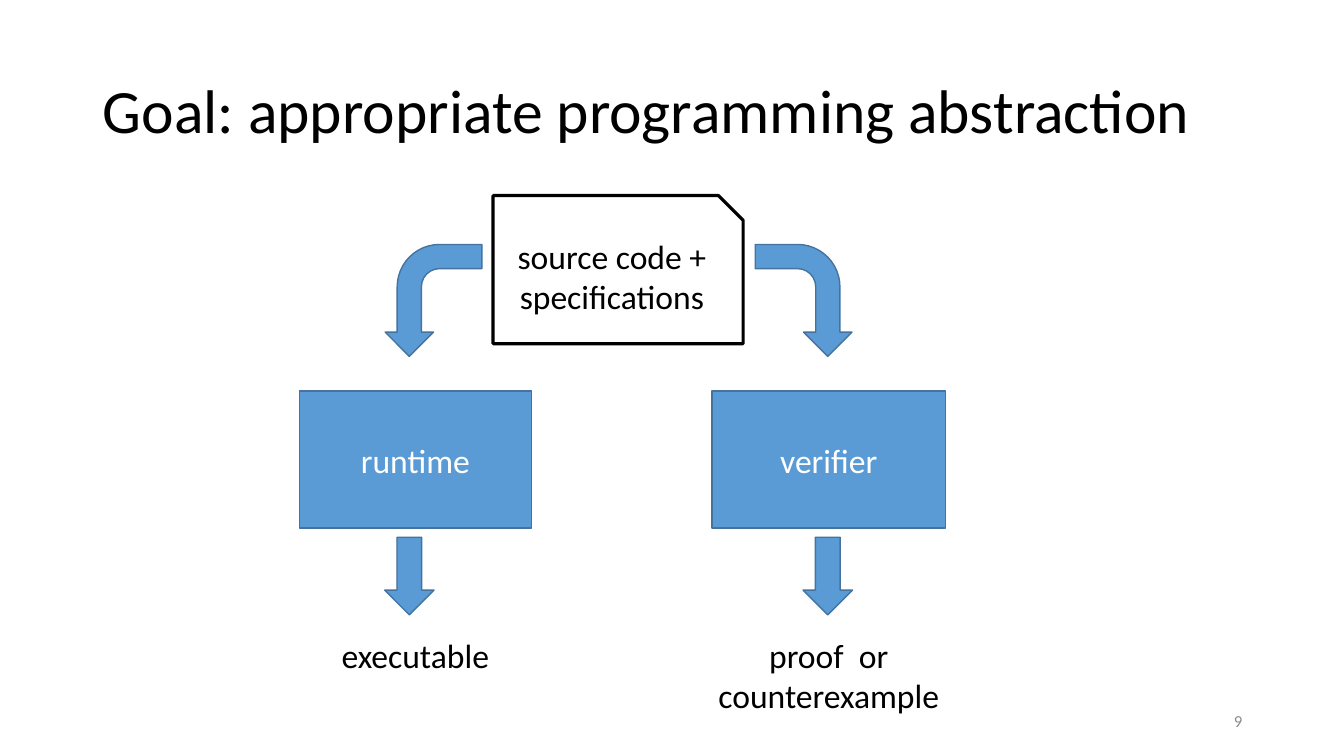
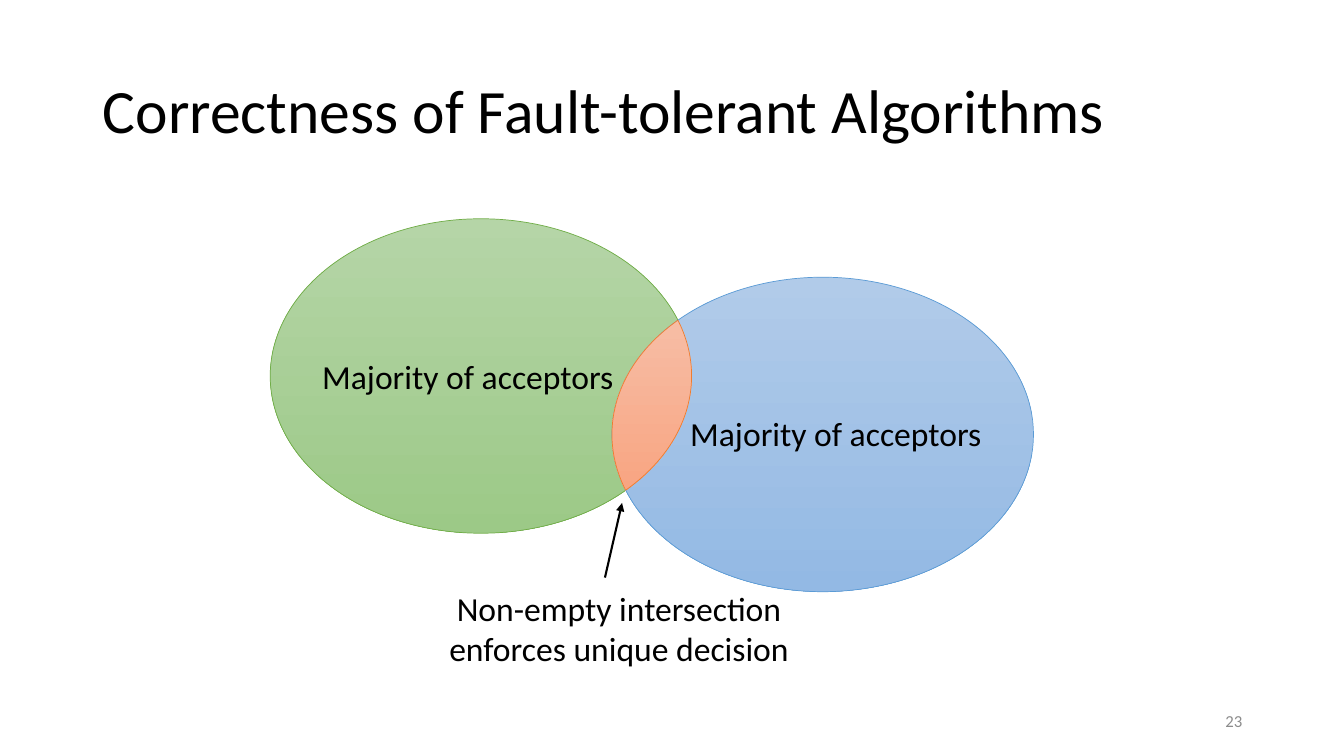
from math import acos, atan2, cos, hypot, pi, sin

from lxml.etree import SubElement
from pptx import Presentation
from pptx.dml.color import RGBColor
from pptx.enum.shapes import MSO_CONNECTOR, MSO_SHAPE
from pptx.enum.text import MSO_ANCHOR, MSO_AUTO_SIZE, PP_ALIGN
from pptx.oxml.ns import qn
from pptx.util import Inches, Pt

WIDTH, HEIGHT = 13.33, 7.5
FONT = "Calibri"
BODY_SIZE = 24
COLORS = {
    "text": "000000", "paper": "FFFFFF", "number": "8C8C8C",
    "box": "5B9BD5", "box_edge": "43739E",
    "green": "70AD47", "green_top": "B5D5A7", "green_bottom": "9CC987",
    "blue": "5B9BD5", "blue_top": "B1CBE9", "blue_bottom": "93B9E4",
    "orange": "ED7D31", "orange_top": "F7BDA5", "orange_bottom": "F8A582",
}

ABSTRACTION = {
    "title": "Goal: appropriate programming abstraction",
    "number": 9,
    "source": "source code + specifications",
    # tool, result, centre of the column, centre of its arrows, width, side of the source
    "branches": [
        ("runtime", "executable", 4.12, 4.06, 2.3, -1),
        ("verifier", "proof  or\ncounterexample", 8.22, 8.21, 2.32, 1),
    ],
}
CORRECTNESS = {
    "title": "Correctness of Fault-tolerant Algorithms",
    "number": 23,
    # label, colour, centre of the ellipse, left and top of the label
    "majorities": [
        ("Majority of acceptors", "green", (4.77, 3.73), (3.08, 3.48)),
        ("Majority of acceptors", "blue", (8.16, 4.31), (6.73, 4.05)),
    ],
    "note": "Non-empty intersection\nenforces unique decision",
}
RADII = (2.09, 1.56)


def color(name):
    return RGBColor.from_string(COLORS[name])


def inches(*lengths):
    return [Inches(length) for length in lengths]


def write(frame, text, size=BODY_SIZE, ink="text", align=PP_ALIGN.CENTER):
    frame.text = text
    for paragraph in frame.paragraphs:
        paragraph.alignment = align
        for run in paragraph.runs:
            run.font.name = FONT
            run.font.size = Pt(size)
            run.font.color.rgb = color(ink)


def outline(shape, edge, width):
    shape.shadow.inherit = False
    shape.line.color.rgb = color(edge)
    shape.line.width = Pt(width)


def add_block(slide, preset, box, fill="box", edge="box_edge", width=1):
    block = slide.shapes.add_shape(preset, *inches(*box))
    block.fill.solid()
    block.fill.fore_color.rgb = color(fill)
    outline(block, edge, width)
    return block


def add_label(slide, text, box):
    frame = slide.shapes.add_textbox(*inches(*box)).text_frame
    frame.word_wrap = False
    frame.auto_size = MSO_AUTO_SIZE.SHAPE_TO_FIT_TEXT
    write(frame, text)


def shade(shape, hue):
    """Fill from top to bottom with the two tints of a hue and edge with the hue."""
    shape.fill.gradient()
    shape.fill.gradient_angle = 270
    for stop, end in zip(shape.fill.gradient_stops, ("top", "bottom")):
        stop.color.rgb = color(f"{hue}_{end}")
    outline(shape, hue, 0.5)


def add_slide(prs, content):
    slide = prs.slides.add_slide(prs.slide_layouts[5])
    title = slide.shapes.title
    title.left, title.top, title.width, title.height = inches(0.92, 0.4, 11.5, 1.45)
    title.text_frame.vertical_anchor = MSO_ANCHOR.MIDDLE
    write(title.text_frame, content["title"], 44, align=PP_ALIGN.LEFT)
    title.text_frame.paragraphs[0].line_spacing = 0.9

    number = slide.shapes.add_textbox(*inches(9.42, 6.95, 3, 0.4)).text_frame
    number.word_wrap = True
    number.vertical_anchor = MSO_ANCHOR.MIDDLE
    write(number, str(content["number"]), 12, "number", PP_ALIGN.RIGHT)
    return slide


def build_abstraction(prs):
    slide = add_slide(prs, ABSTRACTION)
    source = add_block(slide, MSO_SHAPE.SNIP_1_RECTANGLE, (4.89, 1.94, 2.48, 1.47),
                       "paper", "text", 2.25)
    write(source.text_frame, ABSTRACTION["source"])

    bend_width, bend_height, arrow_width = 1.11, 0.96, 0.49
    for tool, result, center, arrow_center, width, side in ABSTRACTION["branches"]:
        box = add_block(slide, MSO_SHAPE.RECTANGLE, (center - width / 2, 3.88, width, 1.36))
        write(box.text_frame, tool, ink="paper")

        bend_left = arrow_center - side * 0.24 - bend_width / 2
        bend = add_block(slide, MSO_SHAPE.BENT_ARROW, (bend_left, 2.5, bend_width, bend_height))
        bend.rotation = side * 90 % 360
        if side < 0:
            bend.element.spPr.find(qn("a:xfrm")).set("flipH", "1")

        add_block(slide, MSO_SHAPE.DOWN_ARROW,
                  (arrow_center - arrow_width / 2, 5.33, arrow_width, 0.77))
        add_label(slide, result, (center - 1.2, 6.25, 2.4, 0.5 + 0.41 * result.count("\n")))


def lens_points(first, second, steps=40):
    """Points around the overlap of two ellipses of the same radii."""
    dx, dy = ((b - a) / r for a, b, r in zip(first, second, RADII))
    heading, half = atan2(dy, dx), acos(hypot(dx, dy) / 2)
    for (x, y), middle in ((first, heading), (second, heading + pi)):
        for step in range(steps + 1):
            angle = middle - half + 2 * half * step / steps
            yield inches(x + RADII[0] * cos(angle), y + RADII[1] * sin(angle))


def add_arrow(slide, start, end):
    arrow = slide.shapes.add_connector(MSO_CONNECTOR.STRAIGHT, *inches(*start, *end))
    arrow.line.color.rgb = color("text")
    arrow.line.width = Pt(1.5)
    SubElement(arrow.line._get_or_add_ln(), qn("a:tailEnd"), type="triangle")
    SubElement(arrow.element.spPr, qn("a:effectLst"))


def build_correctness(prs):
    slide = add_slide(prs, CORRECTNESS)
    majorities = CORRECTNESS["majorities"]
    rx, ry = RADII
    for _, hue, (x, y), _ in majorities:
        ellipse = slide.shapes.add_shape(
            MSO_SHAPE.OVAL, *inches(x - rx, y - ry, 2 * rx, 2 * ry))
        shade(ellipse, hue)

    start, *rest = lens_points(*(center for _, _, center, _ in majorities))
    overlap = slide.shapes.build_freeform(*start, scale=1.0)
    overlap.add_line_segments(rest, close=True)
    shade(overlap.convert_to_shape(), "orange")

    for label, _, _, corner in majorities:
        add_label(slide, label, (*corner, 3.12, 0.5))
    add_arrow(slide, (6, 5.73), (6.17, 4.99))
    add_label(slide, CORRECTNESS["note"], (4.34, 5.78, 3.6, 0.91))


def main():
    prs = Presentation()
    prs.slide_width, prs.slide_height = inches(WIDTH, HEIGHT)
    build_abstraction(prs)
    build_correctness(prs)
    prs.save("out.pptx")


if __name__ == "__main__":
    main()
